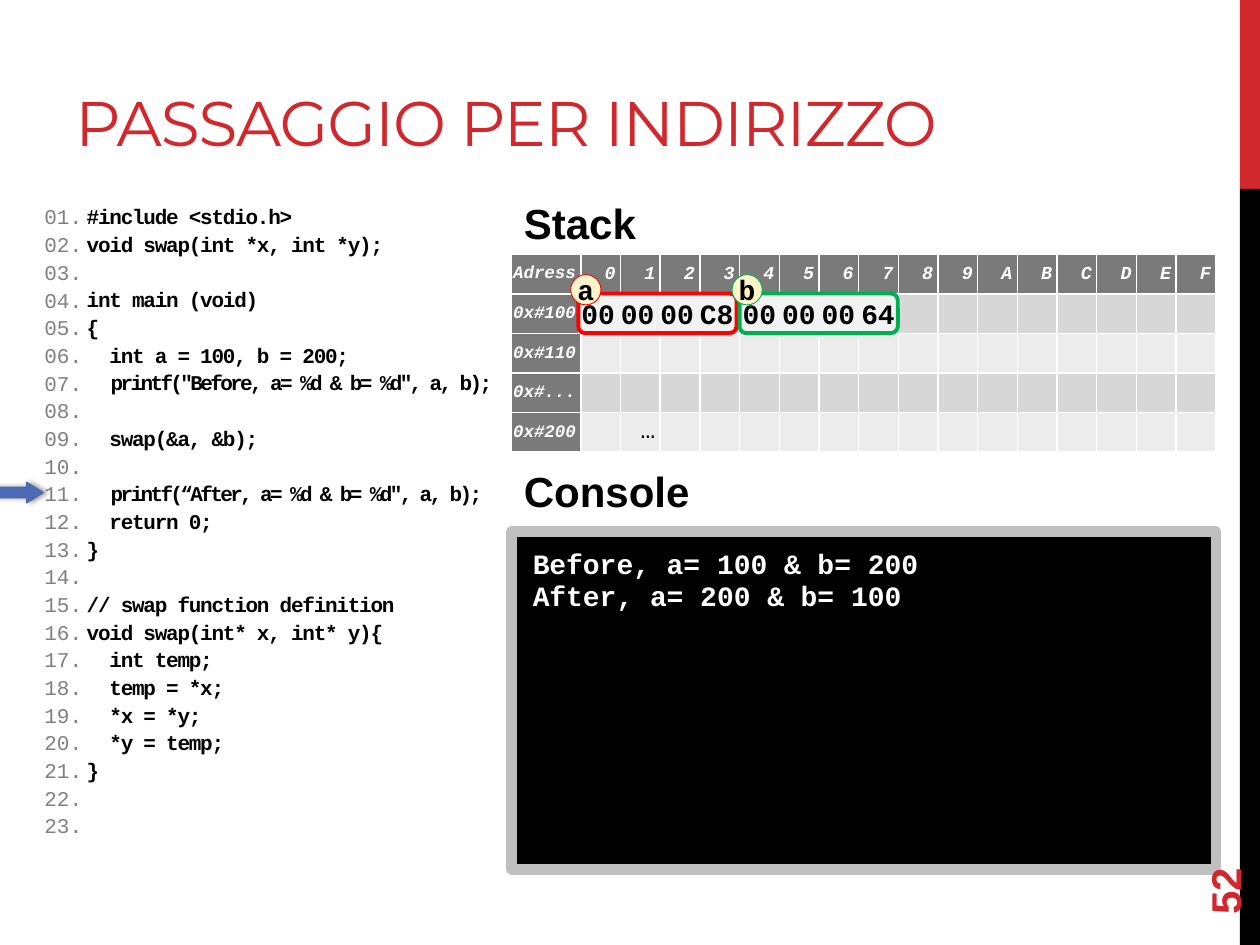
import pptx
import pptx.dml.color
import pptx.enum.shapes
import pptx.enum.text
import pptx.oxml
import pptx.oxml.ns
import pptx.util

RGB = pptx.dml.color.RGBColor
RED = RGB(0xD1, 0x28, 0x2E)
BLACK = RGB(0, 0, 0)
WHITE = RGB(0xFF, 0xFF, 0xFF)
LINE_NUMBER_GREY = RGB(0x80, 0x80, 0x80)
HEADER_GREY = RGB(0x7A, 0x7A, 0x7A)
ROW_DARK = RGB(0xD7, 0xD7, 0xD7)
ROW_LIGHT = RGB(0xEC, 0xEC, 0xEC)
BYTE_GREY = RGB(0xF2, 0xF2, 0xF2)
FRAME_GREY = RGB(0xBF, 0xBF, 0xBF)
BADGE_CREAM = RGB(0xFF, 0xF4, 0xCA)
VARIABLE_RED = RGB(0xFF, 0, 0)
VARIABLE_GREEN = RGB(0, 0xB0, 0x50)
ARROW_BLUE = RGB(0x4D, 0x6B, 0xB5)
ARROW_EDGE = RGB(0x4E, 0x6A, 0xAE)

MONO, SANS, DISPLAY = "Courier New", "Arial", "Montserrat"
SHAPE = pptx.enum.shapes.MSO_SHAPE
ALIGN = pptx.enum.text.PP_ALIGN
ANCHOR = pptx.enum.text.MSO_ANCHOR

COLUMNS, ROWS = 100, 75
PANEL_LEFT, PANEL_WIDTH = 40.6, 55.9
ADDRESS_WIDTH, BYTE = 5.5, 3.14

CODE = """#include <stdio.h>
void swap(int *x, int *y);

int main (void)
{
  int a = 100, b = 200;
  printf("Before, a= %d & b= %d", a, b);

  swap(&a, &b);

  printf(“After, a= %d & b= %d", a, b);
  return 0;
}

// swap function definition
void swap(int* x, int* y){
  int temp;
  temp = *x;
  *x = *y;
  *y = temp;
}""".split("\n")
LINE_COUNT = 23


class SlideBuilder:
    """Draws on one slide; boxes are (left, top, width, height) in grid units."""

    def __init__(self, presentation):
        self.unit_x = presentation.slide_width / COLUMNS
        self.unit_y = presentation.slide_height / ROWS
        self.slide = presentation.slides.add_slide(presentation.slide_layouts[6])

    def place(self, box):
        units = (self.unit_x, self.unit_y) * 2
        return [round(length * unit) for length, unit in zip(box, units)]

    def style(self, run, size, color, font=MONO, bold=True, italic=False, spacing=0):
        run.font.size = pptx.util.Pt(size)
        run.font.name = font
        run.font.bold = bold
        run.font.italic = italic
        run.font.color.rgb = color
        if spacing:
            run.font._element.set("spc", str(round(spacing * 100)))

    def text(self, box, lines, size, color, anchor=ANCHOR.TOP, align=ALIGN.LEFT,
             line_spacing=None, rotation=0, **look):
        textbox = self.slide.shapes.add_textbox(*self.place(box))
        textbox.rotation = rotation
        frame = textbox.text_frame
        frame.word_wrap = True
        frame.vertical_anchor = anchor
        frame.text = "\n".join(lines)
        for paragraph in frame.paragraphs:
            paragraph.alignment = align
            if line_spacing:
                paragraph.line_spacing = line_spacing
            for run in paragraph.runs:
                self.style(run, size, color, **look)
        return frame

    def code(self, box, lines, size, line_spacing):
        frame = self.text(box, lines, size, BLACK, line_spacing=line_spacing, spacing=-0.7)
        for paragraph, line in zip(frame.paragraphs, lines):
            if not line:
                end = pptx.oxml.parse_xml(
                    f'<a:endParaRPr {pptx.oxml.ns.nsdecls("a")} sz="{size * 100}" b="1">'
                    f'<a:latin typeface="{MONO}"/></a:endParaRPr>')
                paragraph._p.append(end)
            elif "printf" in line:
                call = line.lstrip()
                paragraph.runs[0].text = line[:-len(call)]
                call_run = paragraph.add_run()
                call_run.text = call
                self.style(call_run, size, BLACK, spacing=-1.5)

    def shape(self, kind, box, fill=None, line=None, line_width=1, label="", wrap=True):
        shape = self.slide.shapes.add_shape(kind, *self.place(box))
        shape.shadow.inherit = False
        if fill is None:
            shape.fill.background()
        else:
            shape.fill.solid()
            shape.fill.fore_color.rgb = fill
        if line is None:
            shape.line.fill.background()
        else:
            shape.line.color.rgb = line
            shape.line.width = pptx.util.Pt(line_width)
        if label:
            frame = shape.text_frame
            frame.margin_left = frame.margin_right = 0
            frame.margin_top = frame.margin_bottom = 0
            frame.word_wrap = wrap
            frame.vertical_anchor = ANCHOR.MIDDLE
            frame.text = label
            frame.paragraphs[0].alignment = ALIGN.CENTER
            self.style(frame.paragraphs[0].runs[0], 16, BLACK)
        return shape

    def step_arrow(self, box):
        arrow = self.shape(SHAPE.RIGHT_ARROW, box, ARROW_BLUE, ARROW_EDGE)
        arrow.adjustments[1] = 0.8
        effects = arrow._element.spPr.find(pptx.oxml.ns.qn("a:effectLst"))
        effects.append(pptx.oxml.parse_xml(
            f'<a:outerShdw {pptx.oxml.ns.nsdecls("a")} blurRad="39370" dist="22860" dir="0">'
            '<a:srgbClr val="000000"><a:alpha val="40000"/></a:srgbClr></a:outerShdw>'))

    def stack_table(self, box, rows):
        table = self.slide.shapes.add_table(len(rows), len(rows[0]), *self.place(box)).table
        table.horz_banding = False
        byte_width = (box[2] - ADDRESS_WIDTH) / (len(rows[0]) - 1)
        for index, column in enumerate(table.columns):
            column.width = round((byte_width if index else ADDRESS_WIDTH) * self.unit_x)
        for r, row in enumerate(rows):
            for c, value in enumerate(row):
                cell = table.cell(r, c)
                heading = r == 0 or c == 0
                cell.fill.solid()
                cell.fill.fore_color.rgb = (
                    HEADER_GREY if heading else ROW_DARK if r % 2 else ROW_LIGHT)
                cell.margin_left = cell.margin_top = cell.margin_bottom = 0
                cell.margin_right = round(0.4 * self.unit_x)
                cell.vertical_anchor = ANCHOR.MIDDLE
                if value:
                    paragraph = cell.text_frame.paragraphs[0]
                    paragraph.text = value
                    paragraph.alignment = ALIGN.RIGHT
                    size = 10 if c == 0 else 10.5 if r == 0 else 14
                    self.style(paragraph.runs[0], size, WHITE if heading else BLACK,
                               bold=heading, italic=heading)

    def variable(self, left, top, name, values, color):
        """Bytes of one variable, framed and tagged with its name."""
        for index, value in enumerate(values):
            self.shape(SHAPE.RECTANGLE, (left + index * BYTE, top, BYTE, BYTE),
                       BYTE_GREY, label=value)
        self.shape(SHAPE.ROUNDED_RECTANGLE, (left, top, len(values) * BYTE, BYTE),
                   line=color, line_width=2.25)
        self.shape(SHAPE.OVAL, (left - 0.6, top - 1.5, 2.4, 2.4), BADGE_CREAM,
                   color, 0.5, name, wrap=False)


def main():
    presentation = pptx.Presentation()
    presentation.slide_width = pptx.util.Inches(10)
    presentation.slide_height = pptx.util.Inches(7.5)
    builder = SlideBuilder(presentation)

    builder.shape(SHAPE.RECTANGLE, (98.4, 0, 1.6, 15), RED)
    builder.shape(SHAPE.RECTANGLE, (98.4, 15, 1.6, 60), BLACK)
    builder.text((5, 1.7, 79.6, 11.4), ["PASSAGGIO PER INDIRIZZO"], 36, RED,
                 anchor=ANCHOR.BOTTOM, font=DISPLAY, bold=False, spacing=-0.6)

    numbers = [f"{number:02}." for number in range(1, LINE_COUNT + 1)]
    builder.text((2, 15.5, 5.5, 52.1), numbers, 12, LINE_NUMBER_GREY,
                 align=ALIGN.RIGHT, line_spacing=1.1, bold=False)
    builder.code((5.9, 15.5, 34.6, 52), CODE, 12, 1.1)

    for heading, top in (("Stack", 15.5), ("Console", 36.7)):
        builder.text((PANEL_LEFT, top, 38.7, 4.7), [heading], 24, BLACK,
                     anchor=ANCHOR.BOTTOM, font=SANS)

    stack = [["Adress", *"0123456789ABCDEF"]]
    stack += [[address] + [""] * 16 for address in ("0x#100", "0x#110", "0x#...", "0x#200")]
    stack[4][2] = "…"
    builder.stack_table((PANEL_LEFT, 20.2, PANEL_WIDTH, 15.7), stack)
    builder.variable(45.9, 23.3, "a", ["00", "00", "00", "C8"], VARIABLE_RED)
    builder.step_arrow((-0.5, 38.3, 3.9, 1.6))
    builder.variable(58.7, 23.3, "b", ["00", "00", "00", "64"], VARIABLE_GREEN)

    builder.shape(SHAPE.RECTANGLE, (PANEL_LEFT, 42.2, PANEL_WIDTH, 26.8),
                  BLACK, FRAME_GREY, 6)
    for output, top in (("Before, a= 100 & b= 200", 42.9), ("After, a= 200 & b= 100", 45.4)):
        builder.text((41.3, top, 42.5, 3.7), [output], 16, WHITE)
    builder.text((90, 64.4, 14.4, 4), ["52"], 24, RED, anchor=ANCHOR.MIDDLE,
                 rotation=270, font=SANS)
    presentation.save("out.pptx")


if __name__ == "__main__":
    main()
